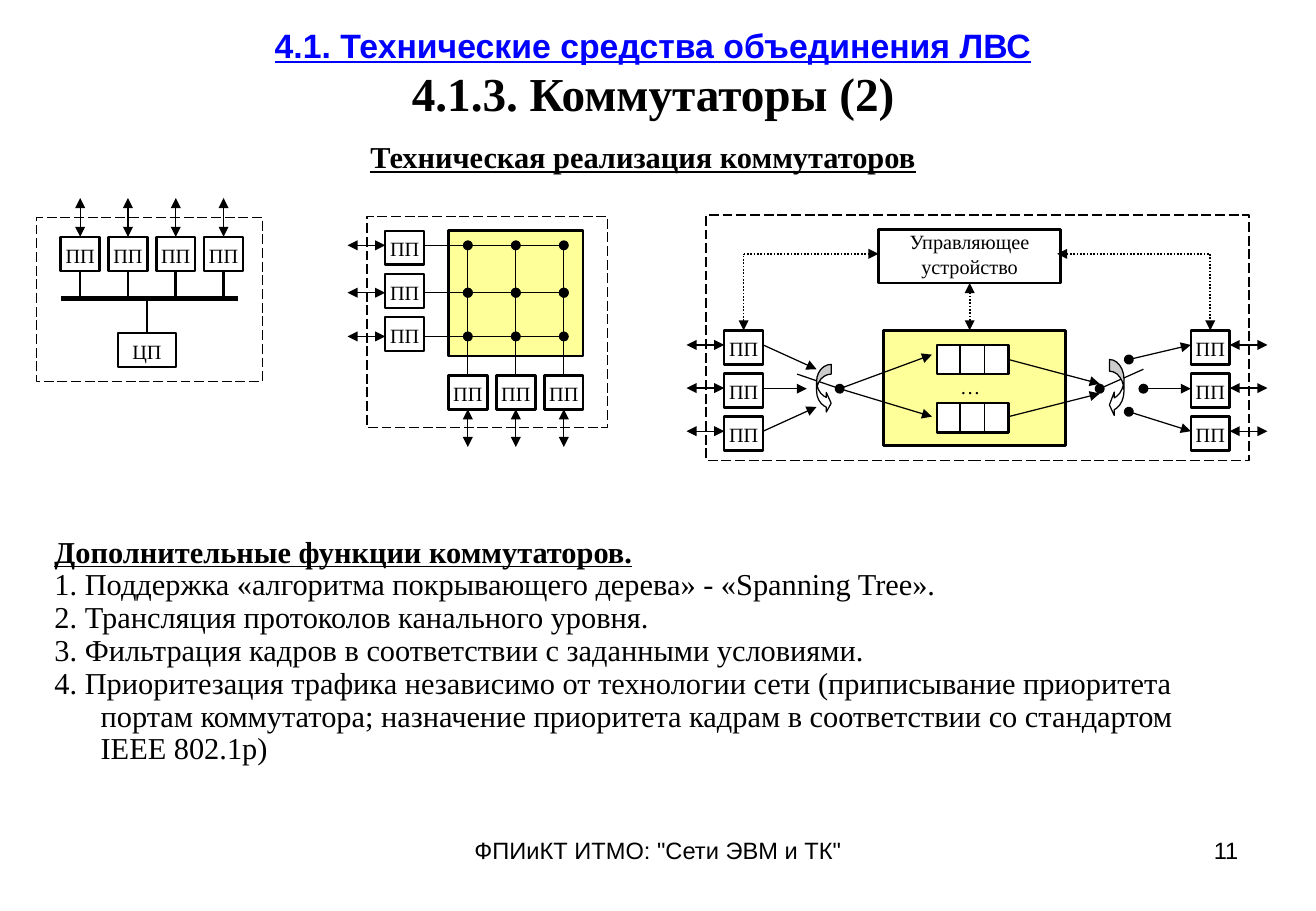
from itertools import pairwise
from lxml.etree import SubElement
from pptx import Presentation
from pptx.dml.color import RGBColor
from pptx.enum.dml import MSO_LINE_DASH_STYLE as Dash
from pptx.enum.shapes import MSO_CONNECTOR as Connector, MSO_SHAPE as Shape
from pptx.enum.text import MSO_ANCHOR as Anchor, PP_ALIGN as Align
from pptx.oxml.ns import qn
from pptx.util import Inches, Pt

BLACK = RGBColor(0x00, 0x00, 0x00)
WHITE = RGBColor(0xFF, 0xFF, 0xFF)
BLUE = RGBColor(0x00, 0x00, 0xFF)
YELLOW = RGBColor(0xFF, 0xFF, 0x99)
SERIF, SANS = "Times New Roman", "Arial"

SECTION = "4.1. Технические средства объединения ЛВС"
TOPIC = "4.1.3. Коммутаторы (2)"
SUBTITLE = "Техническая реализация коммутаторов"
FUNCTIONS_HEADING = "Дополнительные функции коммутаторов."
FUNCTIONS = [
    "1. Поддержка «алгоритма покрывающего дерева» - «Spanning Tree».",
    "2. Трансляция протоколов канального уровня.",
    "3. Фильтрация кадров в соответствии с заданными условиями.",
    "4. Приоритезация трафика независимо от технологии сети (приписывание приоритета "
    "портам коммутатора; назначение приоритета кадрам в соответствии со стандартом IEEE 802.1p)",
]
FOOTER = 'ФПИиКТ ИТМО: "Сети ЭВМ и ТК"'
PAGE = "11"
PORT, PROCESSOR, CONTROLLER = "ПП", "ЦП", "Управляющее устройство"

PORT_WIDTH, PORT_HEIGHT, ARROW = 0.32, 0.28, 0.31
PORT_INSETS = (0.02, 0.05, 0.02, 0.01)
BOTH = ("triangle", "triangle")
DOTS = ("oval", "oval")
TO_END = (None, "triangle")
TO_START = ("triangle", None)
FROM_DOT = ("oval", "triangle")

SWITCH_LINES = [
    ((6.28, 2.84), (6.72, 3.04), TO_END),
    ((6.28, 3.55), (6.72, 3.35), TO_END),
    ((6.28, 3.2), (6.64, 3.2), TO_END),
    ((6.56, 3.08), (6.91, 3.2), (None, "oval")),
    ((6.91, 3.2), (7.67, 2.92), TO_END),
    ((6.91, 3.2), (7.67, 3.43), TO_END),
    ((8.3, 2.96), (9.05, 3.16), TO_END),
    ((8.3, 3.43), (9.05, 3.24), TO_END),
    ((9.05, 3.2), (9.41, 3.04), ("oval", None)),
    ((9.29, 2.96), (9.8, 2.84), FROM_DOT),
    ((9.41, 3.2), (9.8, 3.2), FROM_DOT),
    ((9.29, 3.39), (9.8, 3.55), FROM_DOT),
]
CONTROL_LINES = [
    ((7.98, 2.33), (7.98, 2.72), BOTH),
    ((6.12, 2.72), (6.12, 2.09), TO_START),
    ((6.12, 2.09), (7.23, 2.09), TO_END),
    ((8.7, 2.09), (9.96, 2.09), TO_START),
    ((9.96, 2.09), (9.96, 2.72), TO_END),
]
ROTATORS = [
    (Shape.CURVED_RIGHT_ARROW, (6.72, 3, 0.12, 0.4), (0.67, 1.33, 0.33)),
    (Shape.CURVED_LEFT_ARROW, (9.13, 2.96, 0.12, 0.47), (0.8, 1.6, 0.33)),
]

presentation = Presentation()
presentation.slide_width, presentation.slide_height = Inches(10.83), Inches(7.5)
slide = presentation.slides.add_slide(presentation.slide_layouts[6])


def spread(first, last, count):
    return [first + (last - first) * i / (count - 1) for i in range(count)]


def add_run(paragraph, text, size, font=SERIF, color=BLACK, bold=False, underline=False):
    run = paragraph.add_run()
    run.text = text
    run.font.size, run.font.name = Pt(size), font
    run.font.bold, run.font.underline = bold, underline
    run.font.color.rgb = color


def set_frame(shape, insets=(0.1, 0.05, 0.1, 0.05), align=Align.CENTER, anchor=Anchor.TOP):
    frame = shape.text_frame
    frame.word_wrap, frame.vertical_anchor = True, anchor
    left, top, right, bottom = map(Inches, insets)
    frame.margin_left, frame.margin_top = left, top
    frame.margin_right, frame.margin_bottom = right, bottom
    frame.paragraphs[0].alignment = align
    return frame.paragraphs[0]


def add_text(box, **layout):
    return set_frame(slide.shapes.add_textbox(*map(Inches, box)), **layout)


def add_box(box, fill=None, width=1.5, dash=None, kind=Shape.RECTANGLE):
    shape = slide.shapes.add_shape(kind, *map(Inches, box))
    shape.shadow.inherit = False
    if fill is None:
        shape.fill.background()
    else:
        shape.fill.solid()
        shape.fill.fore_color.rgb = fill
    shape.line.color.rgb, shape.line.width = BLACK, Pt(width)
    if dash:
        shape.line.dash_style = dash
    return shape


def add_label_box(box, text, fill=WHITE, insets=PORT_INSETS):
    add_run(set_frame(add_box(box, fill), insets), text, 12)


def add_port(left, top):
    add_label_box((left, top, PORT_WIDTH, PORT_HEIGHT), PORT)


def add_line(start, end, ends=(None, None), width=0.75, dash=None):
    line = slide.shapes.add_connector(Connector.STRAIGHT, *map(Inches, start + end))
    line.line.color.rgb, line.line.width = BLACK, Pt(width)
    if dash:
        line.line.dash_style = dash
    properties = line._element.spPr
    for tag, kind in zip(("a:headEnd", "a:tailEnd"), ends):
        if kind:
            SubElement(properties.find(qn("a:ln")), qn(tag)).set("type", kind)
    SubElement(properties, qn("a:effectLst"))


def add_enclosure(box):
    add_box(box, width=0.75, dash=Dash.LONG_DASH)


def draw_shared_bus():
    bus = 2.46
    for left in spread(0.5, 1.68, 4):
        center = left + PORT_WIDTH / 2
        add_port(left, 1.95)
        add_line((center, 2.23), (center, bus), width=1.5)
        add_line((center, 1.63), (center, 1.95), BOTH)
    add_line((0.5, bus), (1.96, bus), width=3)
    add_line((1.21, bus), (1.21, 2.74), width=1.5)
    add_label_box((0.97, 2.74, 0.48, PORT_HEIGHT), PROCESSOR)
    add_enclosure((0.3, 1.79, 1.86, 1.35))


def draw_crossbar():
    rows, columns = (2.02, 2.41, 2.77), spread(3.85, 4.64, 3)
    for top, row in zip(spread(1.9, 2.61, 3), rows):
        add_port(3.17, top)
        add_line((3.17 - ARROW, row), (3.17, row), BOTH)
    add_box((3.69, 1.9, 1.11, 1.03), YELLOW)
    for column in columns:
        add_port(column - PORT_WIDTH / 2, 3.09)
        for row in rows:
            add_line((column - 0.36, row), (column, row))
        for upper, lower in pairwise(rows):
            add_line((column, upper), (column, lower), DOTS)
        add_line((column, rows[-1]), (column, 3.09))
        add_line((column, 3.37), (column, 3.37 + ARROW), BOTH)
    add_enclosure((3.02, 1.78, 1.98, 1.74))


def draw_shared_memory():
    add_box((7.27, 2.72, 1.5, 0.95), YELLOW)
    for left, arrow_left in ((5.96, 5.65), (9.8, 10.12)):
        for top in spread(2.72, 3.43, 3):
            add_port(left, top)
            add_line((arrow_left, top + 0.12), (arrow_left + ARROW, top + 0.12), BOTH)
    for top in (2.84, 3.32):
        add_box((7.71, top, 0.59, 0.24), WHITE)
        for divider in (7.9, 8.1):
            add_line((divider, top), (divider, top + 0.24))
    add_run(add_text((7.67, 3.08, 0.63, 0.24), insets=(0, 0, 0, 0)), "…", 12)
    for start, end, ends in SWITCH_LINES:
        add_line(start, end, ends)
    for kind, box, adjustments in ROTATORS:
        rotator = add_box(box, WHITE, 0.75, kind=kind)
        for i, value in enumerate(adjustments):
            rotator.adjustments[i] = value
    add_label_box((7.23, 1.89, 1.5, 0.44), CONTROLLER, None, (0.02, 0, 0.02, 0))
    for start, end, ends in CONTROL_LINES:
        add_line(start, end, ends, 1, Dash.ROUND_DOT)
    add_enclosure((5.81, 1.77, 4.47, 2.02))


add_run(add_text((3.7, 6.83, 3.43, 0.52)), FOOTER, 14, SANS)
add_run(add_text((7.76, 6.83, 2.53, 0.52), align=Align.RIGHT), PAGE, 14, SANS)

title = add_text((0.14, 0.13, 10.47, 0.94), anchor=Anchor.MIDDLE)
add_run(title, SECTION, 20, SANS, BLUE, True, True)
title.add_line_break()
add_run(title, TOPIC, 28, bold=True)
subtitle = add_text((2.95, 1.09, 4.78, 0.4), align=Align.LEFT)
add_run(subtitle, SUBTITLE, 18, bold=True, underline=True)

draw_shared_bus()
draw_crossbar()
draw_shared_memory()

functions = slide.shapes.add_textbox(*map(Inches, (0.35, 4.37, 9.99, 2)))
heading = set_frame(functions, align=Align.LEFT)
add_run(heading, FUNCTIONS_HEADING, 18, bold=True, underline=True)
for text in FUNCTIONS:
    add_run(functions.text_frame.add_paragraph(), text, 18)
for paragraph in functions.text_frame.paragraphs:
    paragraph.line_spacing = 0.9
    indents = paragraph._p.get_or_add_pPr()
    indents.set("marL", str(Inches(0.38)))
    indents.set("indent", str(-Inches(0.38)))

presentation.save("out.pptx")
